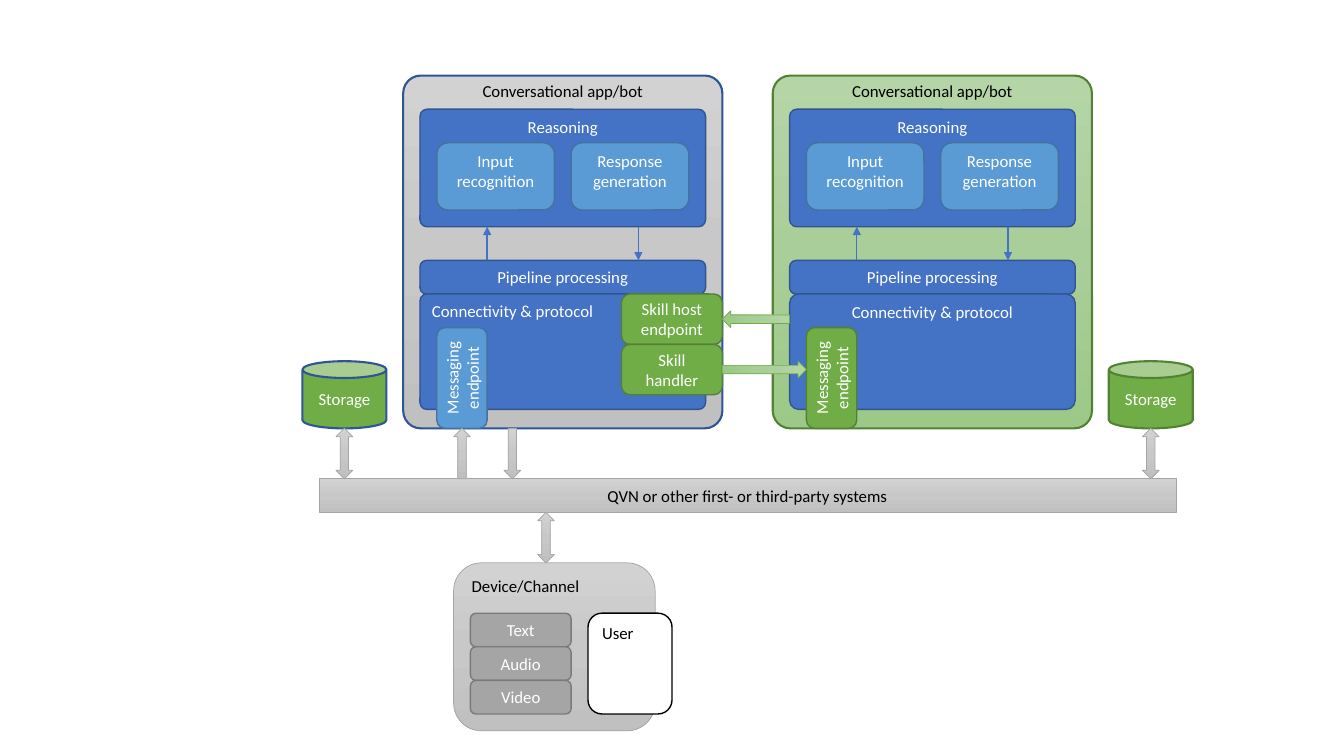
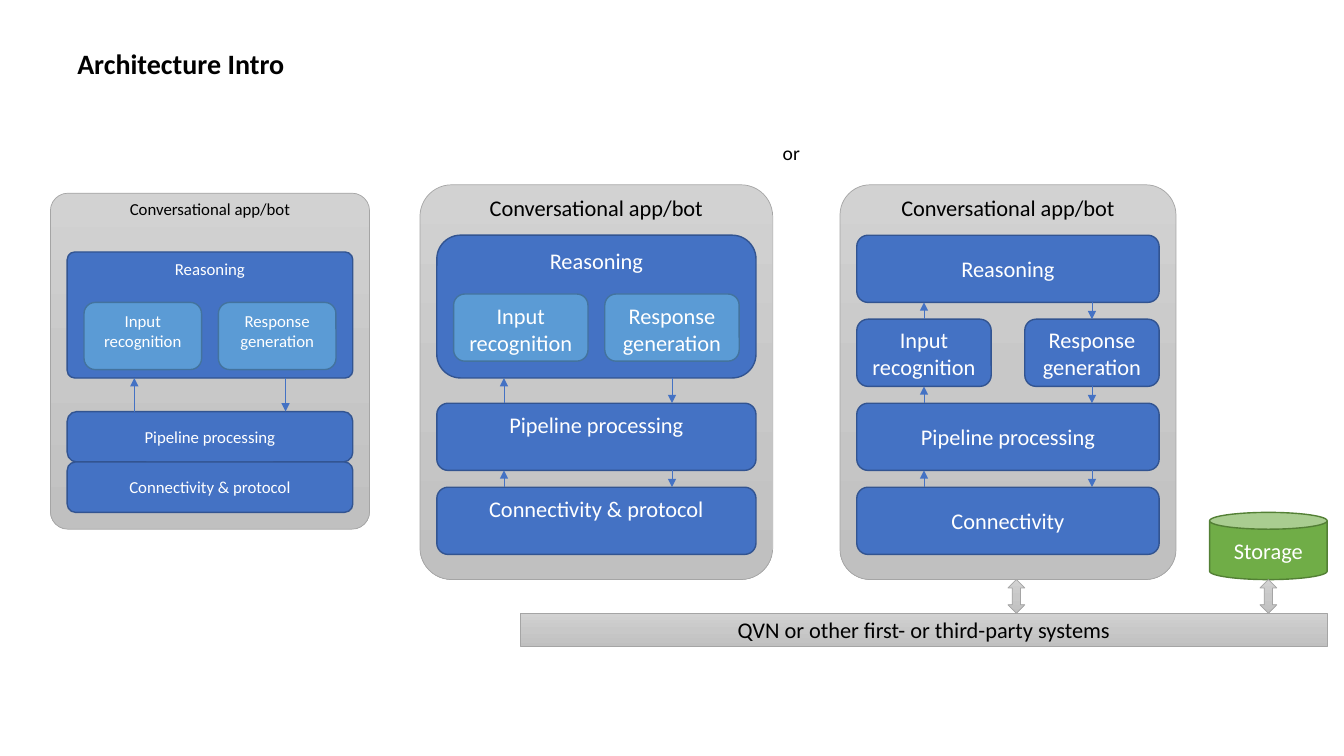
from copy import deepcopy
from dataclasses import dataclass
from typing import NamedTuple, Optional, Tuple, Union

from pptx import Presentation
from pptx.dml.color import RGBColor
from pptx.enum.shapes import MSO_CONNECTOR, MSO_SHAPE as Form
from pptx.enum.text import MSO_ANCHOR as Anchor, MSO_AUTO_SIZE, PP_ALIGN as Align
from pptx.oxml.ns import qn
from pptx.oxml.xmlchemy import OxmlElement
from pptx.shapes.autoshape import Shape
from pptx.shapes.shapetree import GroupShapes, SlideShapes
from pptx.slide import Slide
from pptx.text.text import TextFrame
from pptx.util import Emu, Pt

EMU_PER_PX = 9525
PAD = 16

Canvas = Union[SlideShapes, GroupShapes]


class Look(NamedTuple):
    fill: Tuple[str, ...]
    line: str
    weight: float = 1
    ink: str = "FFFFFF"


class Box(NamedTuple):
    x: int
    y: int
    w: int
    h: int


@dataclass(frozen=True)
class Theme:
    font: str = "Calibri"
    black: str = "000000"
    link: str = "4472C4"
    small: int = 12
    medium: int = 14
    large: int = 16
    heading: int = 20
    silver: Tuple[str, ...] = ("D2D2D2", "C8C8C8", "C0C0C0")
    mint: Tuple[str, ...] = ("B5D5A7", "AACE9A", "9CC987")
    system: Look = Look(silver, "A5A5A5", 0.5, black)
    host_app: Look = Look(silver, "2F5597", 1.5, black)
    skill_app: Look = Look(mint, "548235", 1.5, black)
    skill_flow: Look = Look(mint, "70AD47", 0.5)
    layer: Look = Look(("4472C4",), "325491")
    ability: Look = Look(("5B9BD5",), "43739E")
    skill: Look = Look(("70AD47",), "538035")
    host_storage: Look = Look(("70AD47",), "2F5597", 1.5)
    skill_storage: Look = Look(("70AD47",), "548235", 1.5)
    channel: Look = Look(("A5A5A5",), "7A7A7A")
    user: Look = Look(("FFFFFF",), "000000", 1, black)


THEME = Theme()
SYSTEMS = "QVN or other first- or third-party systems"


@dataclass(frozen=True)
class Layer:
    text: str
    y: int
    h: int
    radius: Optional[float] = None
    anchor: Anchor = Anchor.MIDDLE
    align: Align = Align.CENTER


@dataclass(frozen=True)
class Bot:
    box: Box
    layers: Tuple[Layer, ...]
    abilities_y: int
    look: Look = THEME.system
    radius: float = 0.055
    size: int = THEME.small
    link_weight: float = 0.5
    nested: bool = True


def px(length: int) -> Emu:
    return Emu(length * EMU_PER_PX)


def rgb(code: str) -> RGBColor:
    return RGBColor.from_string(code)


def write_text(frame: TextFrame, text: str, *, size: int, color: str = THEME.black,
               align: Align = Align.LEFT, anchor: Anchor = Anchor.TOP,
               bold: bool = False, wrap: bool = True, top: Optional[int] = None) -> None:
    frame.word_wrap = wrap
    frame.auto_size = MSO_AUTO_SIZE.NONE
    frame.vertical_anchor = anchor
    if top is not None:
        frame.margin_top = px(top)
    paragraph = frame.paragraphs[0]
    paragraph.alignment = align
    run = paragraph.add_run()
    run.text = text
    run.font.name = THEME.font
    run.font.size = Pt(size)
    run.font.bold = bold
    run.font.color.rgb = rgb(color)


def paint(part: Shape, look: Look) -> None:
    part.shadow.inherit = False
    part.line.color.rgb = rgb(look.line)
    part.line.width = Pt(look.weight)
    if len(look.fill) == 1:
        part.fill.solid()
        part.fill.fore_color.rgb = rgb(look.fill[0])
        return
    part.fill.gradient()
    part.fill.gradient_angle = 270
    stops = next(part._element.spPr.iter(qn("a:gsLst")))
    stops.insert(1, deepcopy(stops[0]))
    for index, (stop, code) in enumerate(zip(part.fill.gradient_stops, look.fill)):
        stop.position = index / 2
        stop.color.rgb = rgb(code)


def add_part(canvas: Canvas, box: Box, look: Look, text: str = "", *,
             form: Form = Form.ROUNDED_RECTANGLE, radius: Optional[float] = None,
             size: int = THEME.small, rotation: int = 0, align: Align = Align.CENTER,
             anchor: Anchor = Anchor.MIDDLE, top: Optional[int] = None) -> None:
    part = canvas.add_shape(form, *map(px, box))
    part.rotation = rotation
    if radius is not None:
        part.adjustments[0] = radius
    paint(part, look)
    if text:
        write_text(part.text_frame, text, size=size, color=look.ink,
                   align=align, anchor=anchor, top=top)


def add_link(canvas: Canvas, x: int, start: int, end: int, weight: float) -> None:
    link = canvas.add_connector(MSO_CONNECTOR.STRAIGHT, px(x), px(start), px(x), px(end))
    link.line.color.rgb = rgb(THEME.link)
    link.line.width = Pt(weight)
    head = OxmlElement("a:tailEnd")
    head.set("type", "triangle")
    link.line._get_or_add_ln().append(head)
    link._element.spPr.append(OxmlElement("a:effectLst"))


def add_bot(slide: Slide, bot: Bot) -> GroupShapes:
    canvas = slide.shapes.add_group_shape().shapes
    add_part(canvas, bot.box, bot.look, "Conversational app/bot", radius=bot.radius,
             size=bot.size, anchor=Anchor.TOP, top=0)
    left, width = bot.box.x + PAD, bot.box.w - 2 * PAD
    for layer in bot.layers:
        add_part(canvas, Box(left, layer.y, width, layer.h), THEME.layer, layer.text,
                 radius=layer.radius, size=bot.size, align=layer.align, anchor=layer.anchor)

    inset, gap = (PAD, PAD) if bot.nested else (0, 2 * PAD)
    ability_w = (width - 2 * inset - gap) // 2
    input_x = left + inset
    response_x = input_x + ability_w + gap
    for x, text in ((input_x, "Input recognition"), (response_x, "Response generation")):
        add_part(canvas, Box(x, bot.abilities_y, ability_w, 64),
                 THEME.ability if bot.nested else THEME.layer, text, size=bot.size,
                 anchor=Anchor.TOP if bot.nested else Anchor.MIDDLE)

    rows = [(layer.y, layer.y + layer.h) for layer in bot.layers]
    if not bot.nested:
        rows.append((bot.abilities_y, bot.abilities_y + 64))
    rows.sort()
    for (_, upper), (lower, _) in zip(rows, rows[1:]):
        if lower > upper:
            add_link(canvas, response_x + 64, upper, lower, bot.link_weight)
            add_link(canvas, left + 64, lower, upper, bot.link_weight)
    return canvas


def add_messaging(canvas: Canvas, bot: Bot, look: Look) -> None:
    add_part(canvas, Box(bot.box.x + 8, 336, 96, 48), look, "Messaging endpoint", rotation=270)


def add_device(slide: Slide) -> None:
    canvas = slide.shapes.add_group_shape().shapes
    add_part(canvas, Box(432, 536, 192, 160), THEME.system, "Device/Channel",
             align=Align.LEFT, anchor=Anchor.TOP)
    add_part(canvas, Box(560, 584, 80, 96), THEME.user, "User",
             align=Align.LEFT, anchor=Anchor.TOP)
    for row, text in enumerate(("Text", "Audio", "Video")):
        add_part(canvas, Box(448, 584 + 32 * row, 96, 32), THEME.channel, text)


def skill_bot(x: int, look: Look, align: Align, radius: float) -> Bot:
    return Bot(
        Box(x, 72, 304, 336),
        (Layer("Reasoning", 104, 112, 0.06, Anchor.TOP),
         Layer("Pipeline processing", 248, 32, 0.19),
         Layer("Connectivity & protocol", 280, 110, radius, Anchor.TOP, align)),
        abilities_y=136, look=look, link_weight=1)


def build_skills(slide: Slide) -> None:
    shapes = slide.shapes
    add_part(shapes, Box(304, 456, 816, 32), THEME.system, SYSTEMS, form=Form.RECTANGLE)
    add_part(shapes, Box(512, 488, 16, 48), THEME.system, form=Form.UP_DOWN_ARROW)
    add_device(slide)

    host = skill_bot(384, THEME.host_app, Align.LEFT, 0.06)
    host_parts = add_bot(slide, host)
    add_messaging(host_parts, host, THEME.ability)
    for row, text in enumerate(("Skill host endpoint", "Skill handler")):
        add_part(host_parts, Box(592, 280 + 48 * row, 96, 48), THEME.skill, text)
    for x, form in ((432, Form.UP_ARROW), (480, Form.DOWN_ARROW)):
        add_part(host_parts, Box(x, 408, 16, 48), THEME.system, form=form)

    skill = skill_bot(736, THEME.skill_app, Align.CENTER, 0.08)
    skill_parts = add_bot(slide, skill)
    add_messaging(skill_parts, skill, THEME.skill)
    for box, form in ((Box(720, 312, 16, 80), Form.UP_ARROW),
                      (Box(712, 272, 16, 64), Form.DOWN_ARROW)):
        add_part(skill_parts, box, THEME.skill_flow, form=form, rotation=90)

    for x, look in ((288, THEME.host_storage), (1056, THEME.skill_storage)):
        add_part(shapes, Box(x, 344, 80, 64), look, "Storage", form=Form.CAN)
        add_part(shapes, Box(x + 32, 408, 16, 48), THEME.system, form=Form.UP_DOWN_ARROW)


INTRO_BOTS = (
    Bot(Box(800, 176, 320, 376),
        (Layer("Reasoning", 224, 64),
         Layer("Pipeline processing", 384, 64),
         Layer("Connectivity", 464, 64)),
        abilities_y=304, radius=0.09, size=THEME.large, nested=False),
    Bot(Box(400, 176, 336, 376),
        (Layer("Reasoning", 224, 136, anchor=Anchor.TOP),
         Layer("Pipeline processing", 384, 64, anchor=Anchor.TOP),
         Layer("Connectivity & protocol", 464, 64, anchor=Anchor.TOP)),
        abilities_y=280, radius=0.09, size=THEME.large),
    Bot(Box(48, 184, 304, 320),
        (Layer("Reasoning", 240, 120, 0.06, Anchor.TOP),
         Layer("Pipeline processing", 392, 48, 0.19),
         Layer("Connectivity & protocol", 440, 48)),
        abilities_y=288),
)


def build_intro(slide: Slide) -> None:
    shapes = slide.shapes
    title = shapes.title
    title.left, title.top, title.width, title.height = map(px, Box(64, 39, 224, 42))
    write_text(title.text_frame, "Architecture Intro", size=THEME.heading, bold=True)
    for bot in INTRO_BOTS:
        add_bot(slide, bot)
    add_part(shapes, Box(1152, 488, 112, 64), THEME.skill, "Storage",
             form=Form.CAN, size=THEME.large)
    add_part(shapes, Box(496, 584, 768, 32), THEME.system, SYSTEMS,
             form=Form.RECTANGLE, size=THEME.large)
    for x in (960, 1200):
        add_part(shapes, Box(x, 552, 16, 32), THEME.system, form=Form.UP_DOWN_ARROW)
    choice = shapes.add_textbox(*map(px, Box(736, 129, 36, 33)))
    write_text(choice.text_frame, "or", size=THEME.medium, wrap=False)


def main() -> None:
    deck = Presentation()
    deck.slide_width, deck.slide_height = px(1280), px(720)
    title_only, blank = deck.slide_layouts[5], deck.slide_layouts[6]
    build_skills(deck.slides.add_slide(blank))
    build_intro(deck.slides.add_slide(title_only))
    deck.save("out.pptx")


if __name__ == "__main__":
    main()
